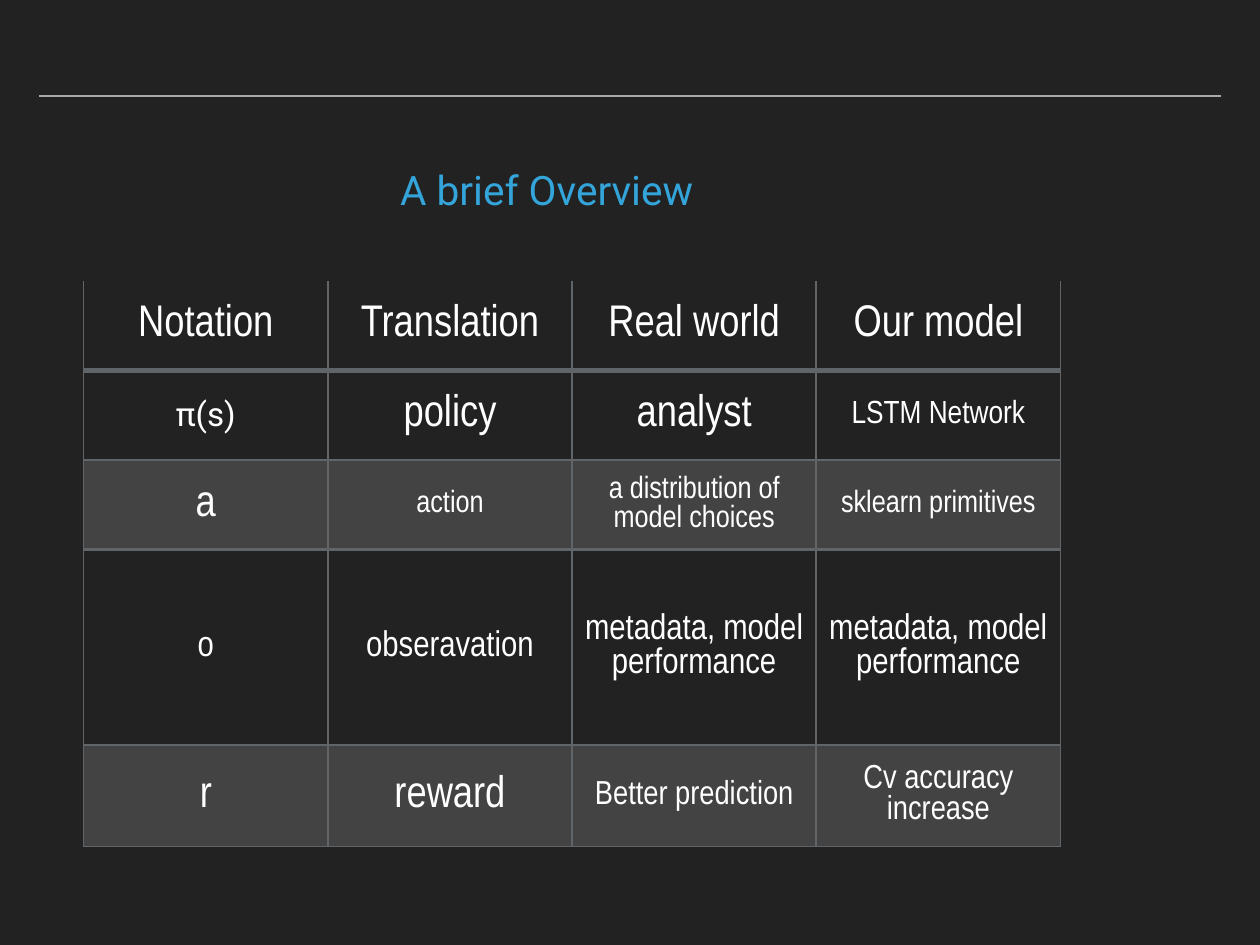
from lxml import etree
from pptx import Presentation
from pptx.dml.color import RGBColor
from pptx.enum.shapes import MSO_CONNECTOR
from pptx.enum.text import MSO_ANCHOR, MSO_AUTO_SIZE, PP_ALIGN
from pptx.oxml.ns import qn
from pptx.util import Cm, Pt

STRAIGHT = MSO_CONNECTOR.STRAIGHT
MIDDLE = MSO_ANCHOR.MIDDLE
NO_AUTOFIT = MSO_AUTO_SIZE.NONE
LEFT, CENTER = PP_ALIGN.LEFT, PP_ALIGN.CENTER
TITLE_ONLY_LAYOUT = 5
MARGIN = Cm(0.15)

BACKGROUND = "222222"
RULE = "A6AAA9"
TITLE = "34A5DA"
TEXT = "FFFFFF"
BORDER = "5F6568"
BAND = "DCDEE0"


def color(hex_value):
    return RGBColor.from_string(hex_value)


def add_border(cell, side, points):
    """Draw one side of a cell; zero points leaves it without a line."""
    properties = cell._tc.get_or_add_tcPr()
    line = etree.SubElement(properties, qn(f"a:ln{side}"), w=str(Pt(points)))
    if points:
        fill = etree.SubElement(line, qn("a:solidFill"))
        etree.SubElement(fill, qn("a:srgbClr"), val=BORDER)
    else:
        etree.SubElement(line, qn("a:noFill"))


presentation = Presentation()
presentation.slide_width = Cm(36.12)
presentation.slide_height = Cm(27.1)
slide = presentation.slides.add_slide(presentation.slide_layouts[TITLE_ONLY_LAYOUT])
slide.background.fill.solid()
slide.background.fill.fore_color.rgb = color(BACKGROUND)

# Rule across the top
rule = slide.shapes.add_connector(STRAIGHT, Cm(1.12), Cm(2.76), Cm(35), Cm(2.76))
rule.line.color.rgb = color(RULE)
rule.line.width = Pt(2)
etree.SubElement(rule._element.spPr, qn("a:effectLst"))

# Title
title = slide.shapes.title
title.left, title.top, title.width, title.height = Cm(11.32), Cm(4.5), Cm(10.19), Cm(1.88)
title_frame = title.text_frame
title_frame.text = "A brief Overview"
title_frame.auto_size = NO_AUTOFIT
title_frame.vertical_anchor = MIDDLE
title_frame.margin_left = title_frame.margin_right = MARGIN
title_frame.margin_top = title_frame.margin_bottom = MARGIN
title_paragraph = title_frame.paragraphs[0]
title_paragraph.alignment = LEFT
title_font = title_paragraph.runs[0].font
title_font.name = "Roboto"
title_font.size = Pt(33)
title_font.color.rgb = color(TITLE)

# Notation table: text and size of each cell
notation_rows = [
    [("Notation", 36), ("Translation", 36), ("Real world", 36), ("Our model", 36)],
    [("π(s)", 27), ("policy", 36), ("analyst", 36), ("LSTM Network", 26)],
    [("a", 36), ("action", 25), ("a distribution of model choices", 25),
     ("sklearn primitives", 25)],
    [("o", 29), ("obseravation", 29), ("metadata, model performance", 29),
     ("metadata, model performance", 29)],
    [("r", 36), ("reward", 36), ("Better prediction", 27), ("Cv accuracy increase", 27)],
]
row_heights = [2.57, 2.57, 2.57, 5.61, 2.9]
column_width = 7
row_count, column_count = len(notation_rows), len(notation_rows[0])
table = slide.shapes.add_table(
    row_count, column_count, Cm(2.4), Cm(8.05),
    Cm(column_width * column_count), Cm(sum(row_heights))).table
table.first_row = False
table.horz_banding = False
for column in table.columns:
    column.width = Cm(column_width)

# Line widths from top to bottom and from left to right
horizontal_lines = [0, 5, 2, 2, 2, 1]
vertical_lines = [1, 2, 2, 2, 1]

for row_index, notation_row in enumerate(notation_rows):
    table.rows[row_index].height = Cm(row_heights[row_index])
    for column_index, (text, size) in enumerate(notation_row):
        cell = table.cell(row_index, column_index)
        cell.vertical_anchor = MIDDLE
        cell.margin_left = cell.margin_right = MARGIN
        cell.margin_top = cell.margin_bottom = MARGIN

        add_border(cell, "L", vertical_lines[column_index])
        add_border(cell, "R", vertical_lines[column_index + 1])
        add_border(cell, "T", horizontal_lines[row_index])
        add_border(cell, "B", horizontal_lines[row_index + 1])

        # Every second row below the header has a translucent band
        if row_index in (2, 4):
            cell.fill.solid()
            cell.fill.fore_color.rgb = color(BAND)
            band_color = cell._tc.tcPr.find(qn("a:solidFill")).find(qn("a:srgbClr"))
            etree.SubElement(band_color, qn("a:alpha"), val="18000")
        else:
            cell.fill.background()

        cell.text_frame.text = text
        paragraph = cell.text_frame.paragraphs[0]
        paragraph.alignment = CENTER
        paragraph.line_spacing = 1.0
        font = paragraph.runs[0].font
        font.name = "Roboto" if text == "π(s)" else "Arial Narrow"
        font.size = Pt(size)
        font.color.rgb = color(TEXT)

presentation.save("out.pptx")
